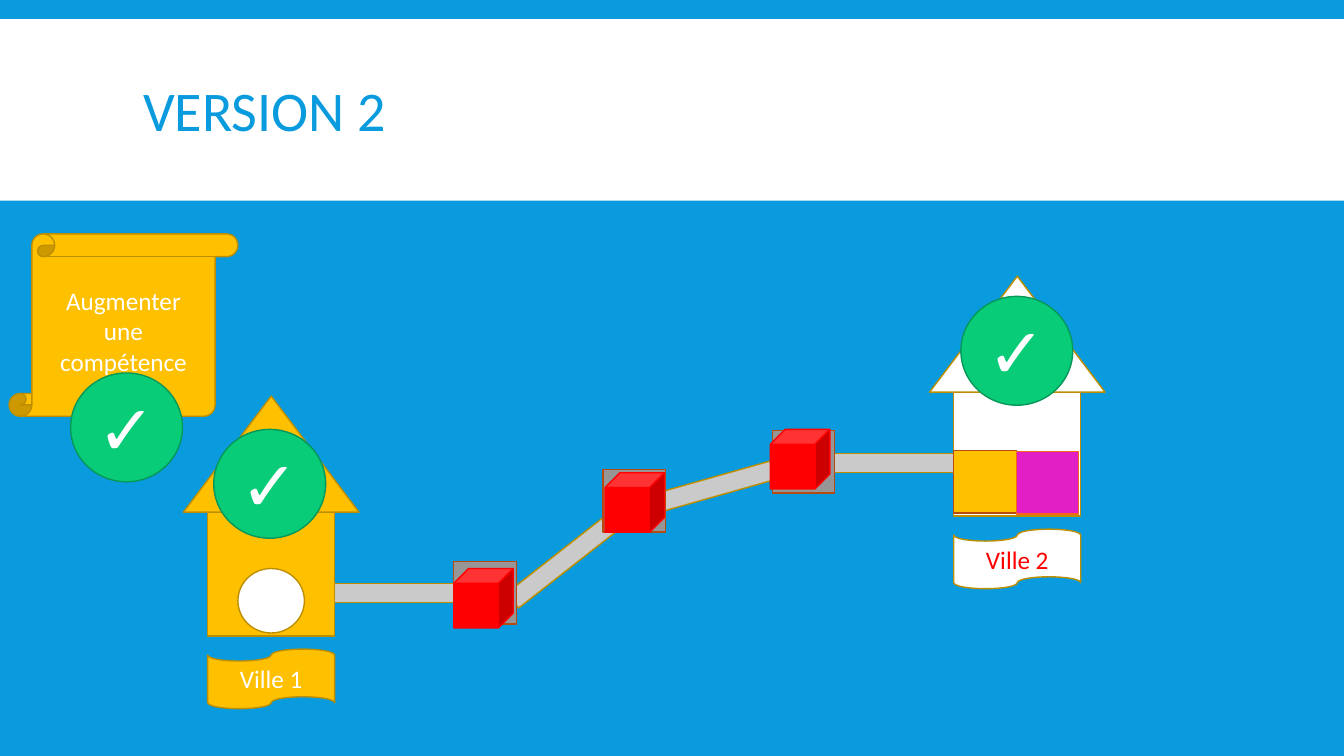
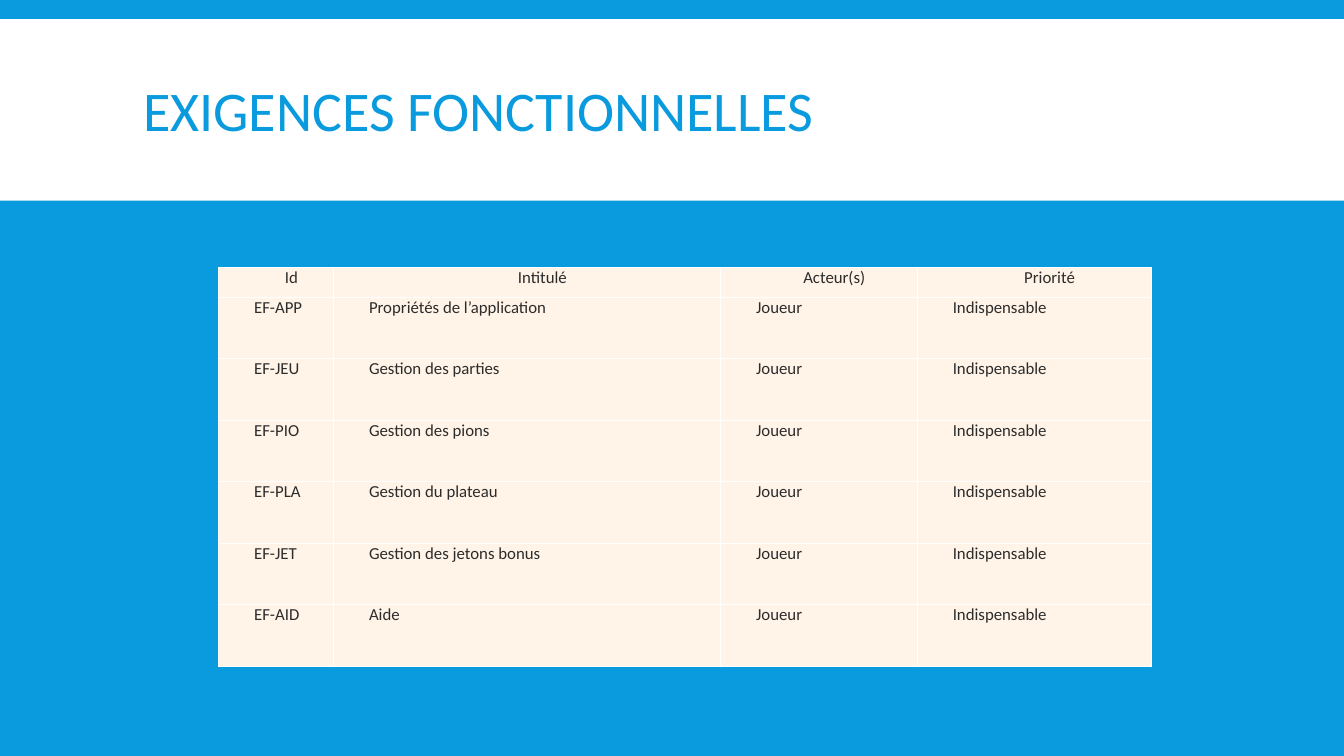
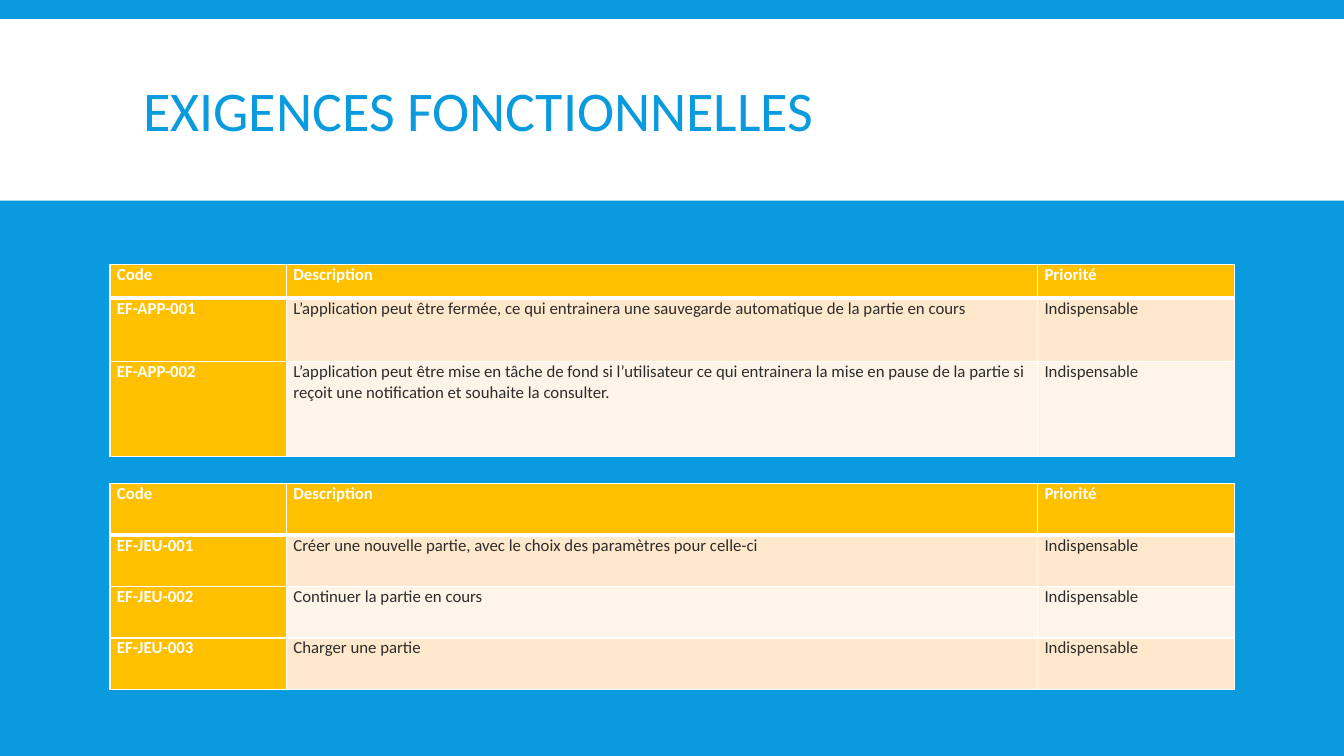
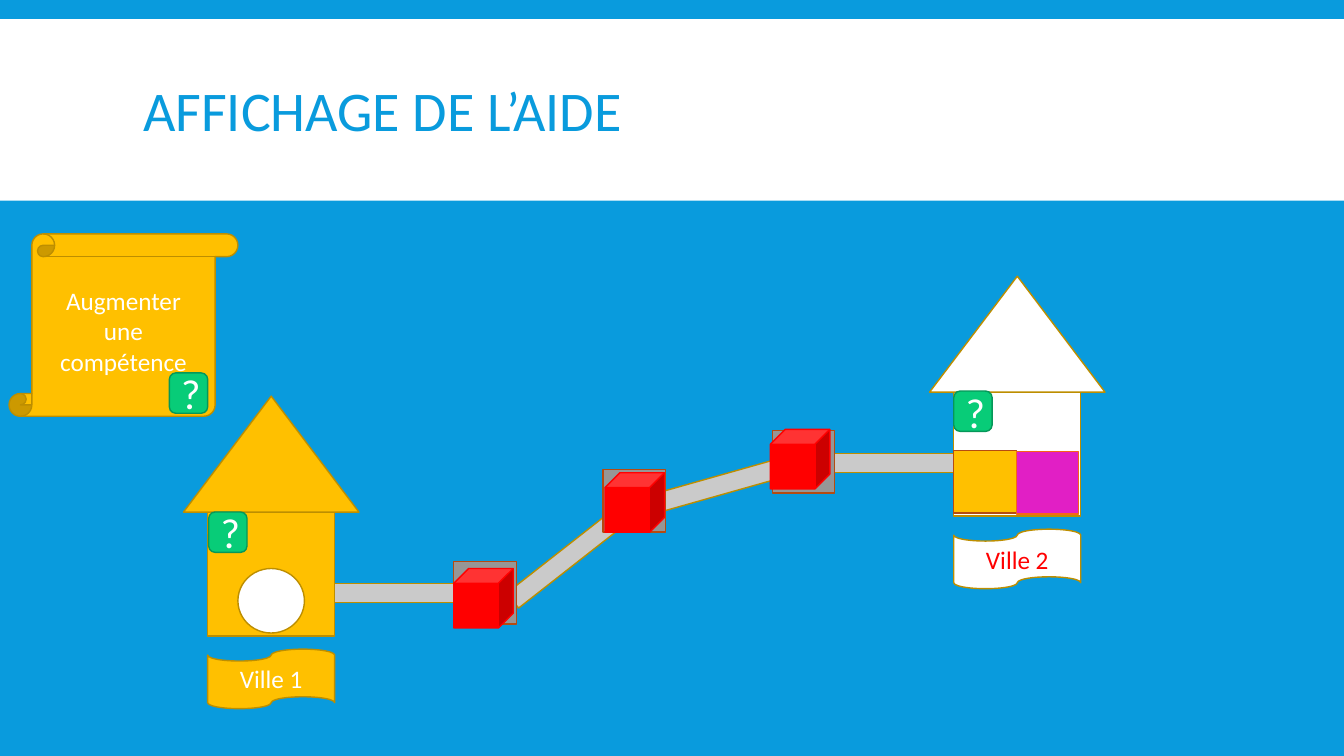
from dataclasses import dataclass

from lxml.etree import SubElement
from pptx import Presentation
from pptx.dml.color import RGBColor
from pptx.enum.shapes import MSO_SHAPE
from pptx.enum.text import MSO_ANCHOR, MSO_AUTO_SIZE, PP_ALIGN
from pptx.oxml.ns import qn
from pptx.shapes.autoshape import Shape
from pptx.shapes.shapetree import GroupShapes, SlideShapes
from pptx.slide import Slide, SlideLayout
from pptx.table import _Cell
from pptx.text.text import _Paragraph
from pptx.util import Emu, Pt

EMU_PER_PX = 9144  # 100 px to the inch
FONT = "Calibri"
COLORS = {
    "sky": "099BDD",
    "white": "FFFFFF",
    "ink": "2C2C2C",
    "gold": "FFC000",
    "bronze": "BD8E00",
    "road": "CACACA",
    "slot": "969696",
    "rust": "B54B11",
    "red": "FF0000",
    "magenta": "E11FC5",
    "orange": "F56617",
    "green": "08CC78",
    "forest": "069759",
    "cream": "FFF4E7",
    "peach": "FFE8CC",
}


@dataclass(frozen=True)
class Figure:
    kind: MSO_SHAPE
    left: int
    top: int
    width: int
    height: int
    fill: str
    outline: str | None = "bronze"
    text: str = ""
    text_color: str = "white"
    text_size: int = 18
    rotation: float = 0


@dataclass(frozen=True)
class Village:
    name: str
    left: int
    top: int
    fill: str
    name_color: str


@dataclass(frozen=True)
class Grid:
    left: int
    top: int
    columns: list[int]
    heights: list[int]
    rows: list[list[str]]
    margin: int


VILLAGES = [
    Village("Ville 1", 206, 508, "gold", "white"),
    Village("Ville 2", 946, 389, "white", "red"),
]
ROADS = [(322, 579, 0), (494, 544, 321.9), (645, 472, 344.2), (818, 450, 0)]
SLOTS = [(766, 427), (598, 466), (450, 557)]
CUBES = [(450, 564), (600, 469), (764, 426)]
CHECKS = [(953, 294), (212, 426), (70, 370)]
HELPS = [(946, 388), (207, 508), (168, 370)]

PRIORITY = "Indispensable"
THEMES = [
    ("EF-APP", "Propriétés de l’application"),
    ("EF-JEU", "Gestion des parties"),
    ("EF-PIO", "Gestion des pions"),
    ("EF-PLA", "Gestion du plateau"),
    ("EF-JET", "Gestion des jetons bonus"),
    ("EF-AID", "Aide"),
]
THEME_GRID = Grid(
    217, 265, [114, 384, 195, 232], [30] + [61] * len(THEMES),
    [["Id", "Intitulé", "Acteur(s)", "Priorité"]]
    + [[code, label, "Joueur", PRIORITY] for code, label in THEMES],
    margin=5,
)
DETAIL_COLUMNS = [175, 745, 195]
DETAIL_HEADER = ["Code", "Description", "Priorité"]
DETAIL_GRIDS = [
    Grid(109, 262, DETAIL_COLUMNS, [34, 63, 94], [
        DETAIL_HEADER,
        ["EF-APP-001", "L’application peut être fermée, ce qui entrainera une sauvegarde "
                       "automatique de la partie en cours", PRIORITY],
        ["EF-APP-002", "L’application peut être mise en tâche de fond si l’utilisateur ce qui "
                       "entrainera la mise en pause de la partie si reçoit une notification "
                       "et souhaite la consulter.", PRIORITY],
    ], margin=7),
    Grid(109, 480, DETAIL_COLUMNS, [51] * 4, [
        DETAIL_HEADER,
        ["EF-JEU-001", "Créer une nouvelle partie, avec le choix des paramètres pour celle-ci",
         PRIORITY],
        ["EF-JEU-002", "Continuer la partie en cours", PRIORITY],
        ["EF-JEU-003", "Charger une partie", PRIORITY],
    ], margin=7),
]


def px(length: int) -> Emu:
    return Emu(length * EMU_PER_PX)


def rgb(color: str) -> RGBColor:
    return RGBColor.from_string(COLORS[color])


def style_paragraph(paragraph: _Paragraph, size: int, color: str,
                    align: PP_ALIGN, bold: bool = False) -> None:
    paragraph.alignment = align
    for name, value in {"name": FONT, "size": Pt(size), "bold": bold}.items():
        setattr(paragraph.font, name, value)
    paragraph.font.color.rgb = rgb(color)
    for run in paragraph.runs:
        for name, value in {"name": FONT, "size": Pt(size), "bold": bold}.items():
            setattr(run.font, name, value)
        run.font.color.rgb = rgb(color)


def draw(shapes: SlideShapes | GroupShapes, figure: Figure) -> Shape:
    shape = shapes.add_shape(figure.kind, px(figure.left), px(figure.top),
                             px(figure.width), px(figure.height))
    shape.rotation = figure.rotation
    shape.shadow.inherit = False
    shape.fill.solid()
    shape.fill.fore_color.rgb = rgb(figure.fill)
    if figure.outline:
        shape.line.color.rgb = rgb(figure.outline)
        shape.line.width = Pt(1)
    else:
        shape.line.fill.background()
    if figure.text:
        shape.text_frame.text = figure.text
        shape.text_frame.vertical_anchor = MSO_ANCHOR.MIDDLE
        for paragraph in shape.text_frame.paragraphs:
            style_paragraph(paragraph, figure.text_size, figure.text_color, PP_ALIGN.CENTER)
    return shape


def prepare_layout(layout: SlideLayout, host: Slide) -> None:
    """Give the layout its background, title box and a band first drawn on host."""
    layout.background.fill.solid()
    layout.background.fill.fore_color.rgb = rgb("sky")
    box = {"left": px(132), "top": px(31), "width": px(1070), "height": px(165)}
    for name, value in box.items():
        setattr(layout.placeholders[0], name, value)
    band = draw(host.shapes, Figure(MSO_SHAPE.RECTANGLE, 0, 19, 1333, 180, "white", None))
    band.element.nvSpPr.cNvPr.set("id", "20")
    layout.shapes.element.insert(2, band.element)


def write_title(slide: Slide, text: str) -> None:
    frame = slide.shapes.title.text_frame
    frame.text = text
    frame.vertical_anchor = MSO_ANCHOR.MIDDLE
    frame.auto_size = MSO_AUTO_SIZE.NONE
    frame.paragraphs[0].line_spacing = 0.85
    style_paragraph(frame.paragraphs[0], 40, "sky", PP_ALIGN.LEFT)


def draw_village(slide: Slide, village: Village) -> None:
    house = slide.shapes.add_group_shape().shapes
    left, top, fill = village.left, village.top, village.fill
    draw(house, Figure(MSO_SHAPE.RECTANGLE, left, top, 126, 123, fill))
    draw(house, Figure(MSO_SHAPE.FLOWCHART_PUNCHED_TAPE, left, top + 136, 126, 59, fill,
                       text=village.name, text_color=village.name_color))
    draw(house, Figure(MSO_SHAPE.ISOSCELES_TRIANGLE, left - 24, top - 115, 174, 115, fill))


def draw_board(slide: Slide) -> None:
    shapes = slide.shapes
    for left, top, rotation in ROADS:
        draw(shapes, Figure(MSO_SHAPE.RECTANGLE, left, top, 137, 19, "road", rotation=rotation))
    for left, top in SLOTS:
        draw(shapes, Figure(MSO_SHAPE.RECTANGLE, left, top, 62, 62, "slot", "rust"))
    for village in VILLAGES:
        draw_village(slide, village)
    for left, top in CUBES:
        draw(shapes, Figure(MSO_SHAPE.CUBE, left, top, 59, 59, "red", "red"))
    for figure in (
        Figure(MSO_SHAPE.RECTANGLE, 946, 447, 62, 62, "gold", "rust"),
        Figure(MSO_SHAPE.RECTANGLE, 1008, 448, 62, 62, "magenta", "orange"),
        Figure(MSO_SHAPE.OVAL, 236, 564, 66, 64, "white"),
        Figure(MSO_SHAPE.VERTICAL_SCROLL, 9, 232, 227, 181, "gold",
               text="Augmenter\nune\ncompétence"),
    ):
        draw(shapes, figure)


def draw_checks(slide: Slide) -> None:
    for left, top in CHECKS:
        draw(slide.shapes, Figure(MSO_SHAPE.OVAL, left, top, 111, 108, "green", "forest",
                                  "✓", text_size=50))


def draw_helps(slide: Slide) -> None:
    for left, top in HELPS:
        draw(slide.shapes, Figure(MSO_SHAPE.FLOWCHART_ALTERNATE_PROCESS, left, top, 38, 40,
                                  "green", "forest", "?", text_size=30))


def format_cell(cell: _Cell, fill: str, margin: int, bottom_width: int = 1) -> None:
    """Set margins, white borders and fill; borders must precede the fill in the XML."""
    margins = {"margin_left": px(margin), "margin_right": px(margin),
               "margin_top": 0, "margin_bottom": 0}
    for name, value in margins.items():
        setattr(cell, name, value)
    properties = cell._tc.get_or_add_tcPr()
    for side, width in {"L": 1, "R": 1, "T": 1, "B": bottom_width}.items():
        border = SubElement(properties, qn(f"a:ln{side}"), w=str(Pt(width)))
        paint = SubElement(border, qn("a:solidFill"))
        SubElement(paint, qn("a:srgbClr"), val=COLORS["white"])
    cell.fill.solid()
    cell.fill.fore_color.rgb = rgb(fill)


def draw_grid(slide: Slide, grid: Grid, detailed: bool) -> None:
    """Draw a table; a detailed one has gold headings and banded rows."""
    table = slide.shapes.add_table(
        len(grid.rows), len(grid.columns), px(grid.left), px(grid.top),
        px(sum(grid.columns)), px(sum(grid.heights))).table
    table.first_row = table.horz_banding = False
    for column, width in zip(table.columns, grid.columns):
        column.width = px(width)
    for row, height in zip(table.rows, grid.heights):
        row.height = px(height)
    for r, texts in enumerate(grid.rows):
        for c, text in enumerate(texts):
            cell = table.cell(r, c)
            cell.text = text
            paragraph = cell.text_frame.paragraphs[0]
            if detailed:
                heading = r == 0 or c == 0
                fill = "gold" if heading else "peach" if r % 2 else "cream"
                format_cell(cell, fill, grid.margin, 1 if r else 3)
                style_paragraph(paragraph, 12, "white" if heading else "ink",
                                PP_ALIGN.LEFT, heading)
            else:
                format_cell(cell, "cream", grid.margin)
                style_paragraph(paragraph, 12, "ink",
                                PP_ALIGN.JUSTIFY if r else PP_ALIGN.CENTER)
                paragraph._p.get_or_add_pPr().set("marL", str(px(30)))


def main() -> None:
    deck = Presentation()
    deck.slide_width, deck.slide_height = px(1333), px(750)
    layout = deck.slide_layouts[5]
    titles = ["VERSION 2", "EXIGENCES FONCTIONNELLES", "EXIGENCES FONCTIONNELLES",
              "AFFICHAGE DE L’AIDE"]
    slides = [deck.slides.add_slide(layout) for _ in titles]
    version, themes, details, helps = slides
    prepare_layout(layout, version)
    for slide, title in zip(slides, titles):
        write_title(slide, title)

    for slide in (version, helps):
        draw_board(slide)
    draw_checks(version)
    draw_helps(helps)
    draw_grid(themes, THEME_GRID, detailed=False)
    for grid in DETAIL_GRIDS:
        draw_grid(details, grid, detailed=True)
    deck.save("out.pptx")


if __name__ == "__main__":
    main()
